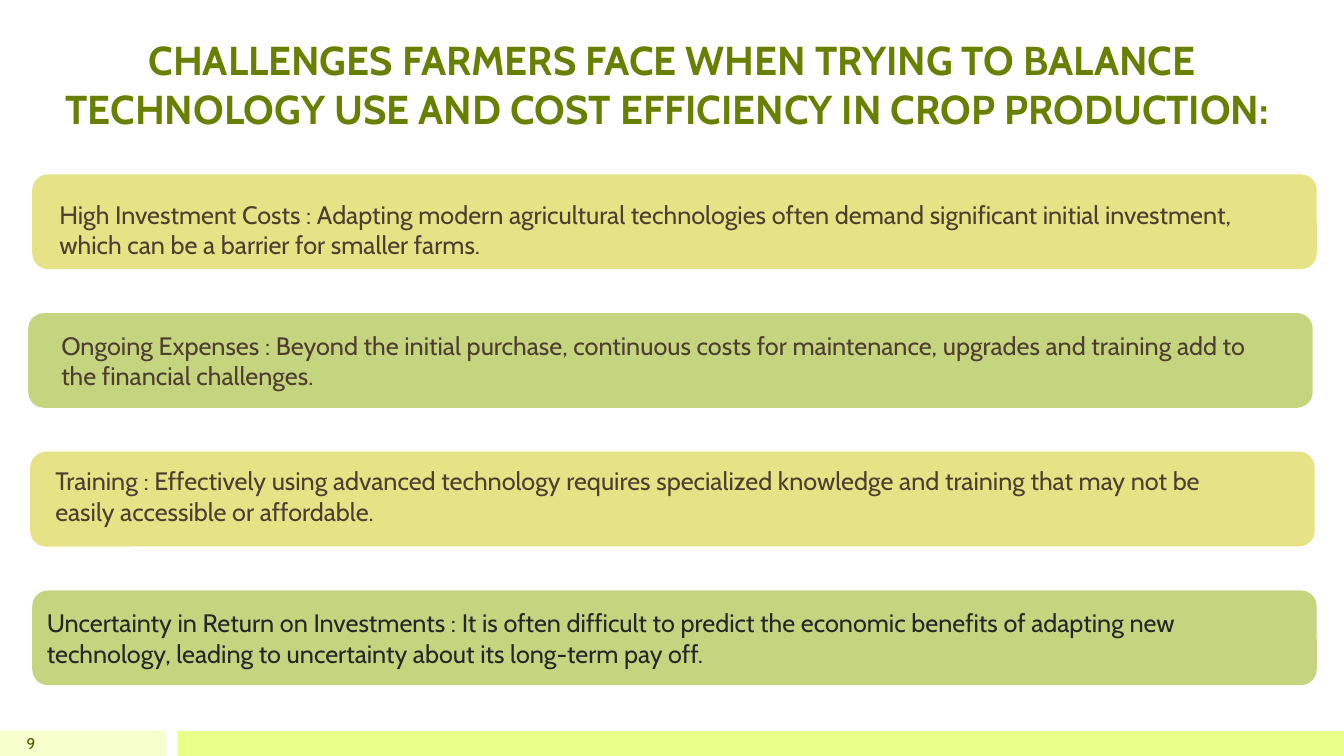
import pptx
import pptx.dml.color
import pptx.enum.shapes
import pptx.enum.text
import pptx.oxml.ns
import pptx.util
from lxml import etree
from pptx.util import Inches

RGBColor = pptx.dml.color.RGBColor
PP_ALIGN = pptx.enum.text.PP_ALIGN
MSO_ANCHOR = pptx.enum.text.MSO_ANCHOR
MSO_SHAPE = pptx.enum.shapes.MSO_SHAPE

FONT = "Cabin"
TITLE_GREEN = RGBColor(0x68, 0x80, 0x00)
NUMBER_GREEN = RGBColor(0x45, 0x55, 0x00)
BROWN = RGBColor(0x4D, 0x3E, 0x2F)
DARK_GREY = RGBColor(0x26, 0x26, 0x26)
YELLOW = RGBColor(0xCD, 0xC8, 0x0F)
GREEN = RGBColor(0x8B, 0xAA, 0x00)
PALE_LIME = RGBColor(0xF6, 0xFF, 0xCC)
LIME = RGBColor(0xE9, 0xFF, 0x88)

TITLE = ("CHALLENGES FARMERS FACE WHEN TRYING TO BALANCE TECHNOLOGY USE "
         "AND COST EFFICIENCY IN CROP PRODUCTION: ")

BAR_TOP, BAR_STEP, BAR_WIDTH, BAR_HEIGHT = 1.73, 1.376, 12.74, 0.94
# Bar left, bar colour, text box (left, top, width), text
CHALLENGES = [
    (0.32, YELLOW, (0.49, 1.93, 12.31),
     "High Investment Costs : Adapting modern agricultural technologies often demand "
     "significant initial investment, which can be a barrier for smaller farms."),
    (0.28, GREEN, (0.51, 3.23, 12.16),
     "Ongoing Expenses : Beyond the initial purchase, continuous costs for maintenance, "
     "upgrades and training add to the financial challenges."),
    (0.30, YELLOW, (0.45, 4.57, 12.16),
     "Training : Effectively using advanced technology requires specialized knowledge "
     "and training that may not be easily accessible or affordable."),
    (0.32, GREEN, None,
     "Uncertainty in Return on Investments : It is often difficult to predict the economic "
     "benefits of adapting new technology, leading to uncertainty about its long-term pay off."),
]


def add_filled_shape(slide, kind, left, top, width, height, color, opacity=100):
    """Add a shape without outline; opacity is a percentage."""
    shape = slide.shapes.add_shape(
        kind, Inches(left), Inches(top), Inches(width), Inches(height))
    shape.shadow.inherit = False
    shape.line.fill.background()
    shape.fill.solid()
    shape.fill.fore_color.rgb = color
    if opacity < 100:
        qn = pptx.oxml.ns.qn
        color_element = shape.element.spPr.find(qn("a:solidFill")).find(qn("a:srgbClr"))
        etree.SubElement(color_element, qn("a:alpha"), val=str(opacity * 1000))
    return shape


def write_text(shape, text, size=18, color=BROWN, bold=False,
               align=PP_ALIGN.LEFT, anchor=MSO_ANCHOR.TOP):
    frame = shape.text_frame
    frame.word_wrap = True
    frame.vertical_anchor = anchor
    paragraph = frame.paragraphs[0]
    paragraph.alignment = align
    run = paragraph.add_run()
    run.text = text
    run.font.name = FONT
    run.font.size = pptx.util.Pt(size)
    run.font.bold = bold
    run.font.color.rgb = color


def add_text_box(slide, left, top, width, height, text, **text_format):
    box = slide.shapes.add_textbox(
        Inches(left), Inches(top), Inches(width), Inches(height))
    write_text(box, text, **text_format)


def add_footer(slide):
    for left, width, color in ((0, 1.64, PALE_LIME), (1.76, 11.57, LIME)):
        add_filled_shape(slide, MSO_SHAPE.RECTANGLE, left, 7.25, width, 0.25, color)
    add_text_box(slide, 0, 7.25, 0.45, 0.25, "9", size=11, color=NUMBER_GREEN,
                 align=PP_ALIGN.RIGHT, anchor=MSO_ANCHOR.MIDDLE)


def add_challenge(slide, index, left, color, text_place, text):
    """Add one bar; its text goes in a box of its own, or in the bar if there is no place."""
    bar = add_filled_shape(slide, MSO_SHAPE.ROUNDED_RECTANGLE, left,
                           BAR_TOP + index * BAR_STEP, BAR_WIDTH, BAR_HEIGHT,
                           color, opacity=50)
    if text_place:
        add_text_box(slide, *text_place, 0.71, text)
    else:
        write_text(bar, text, color=DARK_GREY, anchor=MSO_ANCHOR.MIDDLE)


def main():
    presentation = pptx.Presentation()
    presentation.slide_width = Inches(13.33)
    presentation.slide_height = Inches(7.5)
    slide = presentation.slides.add_slide(presentation.slide_layouts[6])
    add_footer(slide)
    add_text_box(slide, 0.51, 0.22, 12.31, 1.14, TITLE, size=28.8, color=TITLE_GREEN,
                 bold=True, align=PP_ALIGN.CENTER, anchor=MSO_ANCHOR.BOTTOM)
    for index, challenge in enumerate(CHALLENGES):
        add_challenge(slide, index, *challenge)
    presentation.save("out.pptx")


if __name__ == "__main__":
    main()
